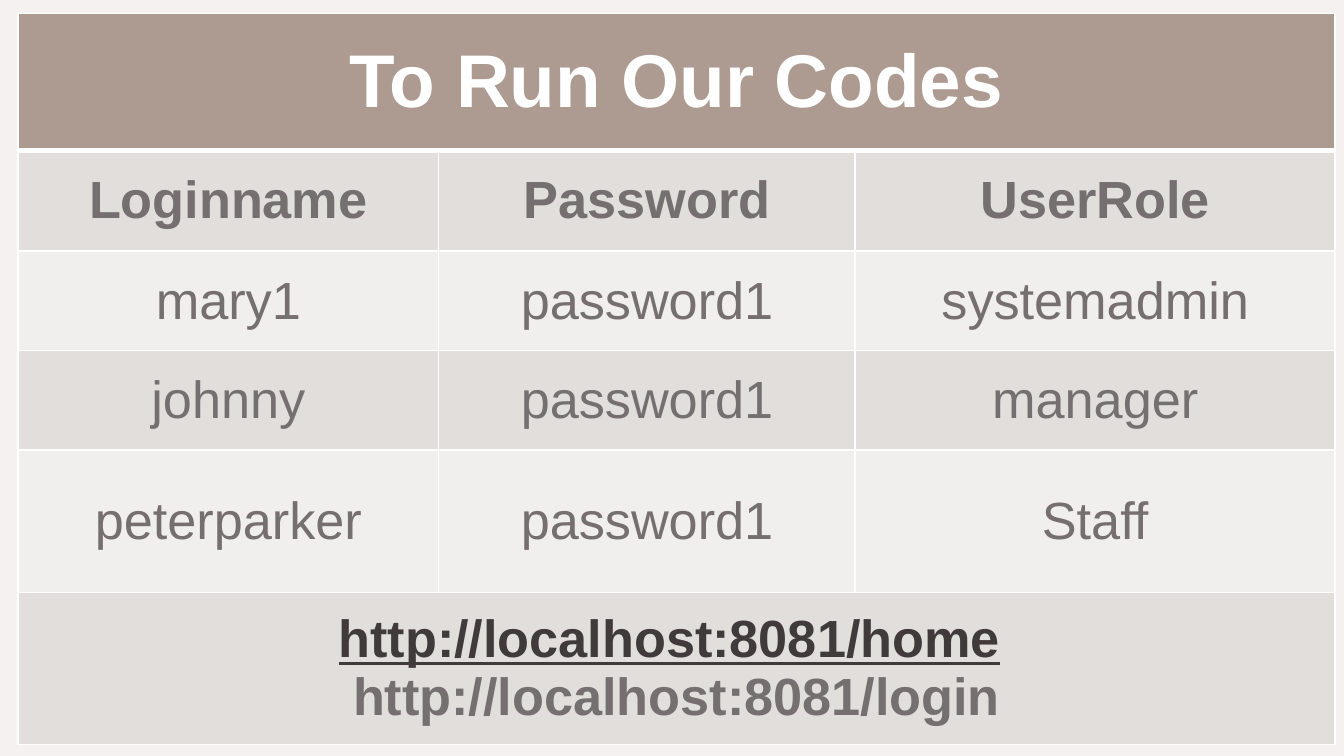
from lxml import etree
from pptx import Presentation
from pptx.dml.color import RGBColor
from pptx.enum.text import MSO_ANCHOR, PP_ALIGN
from pptx.oxml.ns import qn
from pptx.util import Pt

MIDDLE = MSO_ANCHOR.MIDDLE
CENTER = PP_ALIGN.CENTER

HEX = {
    "back": "F5F1F0",
    "head": "AD9B91",
    "dark": "E2DEDB",
    "light": "F1EFEE",
    "white": "FFFFFF",
    "text": "756F6F",
    "link": "413A3A",
}
FONT = "Arial"

# Text formats
TITLE = {"size": Pt(40), "bold": True, "color": "white"}
BOLD = {"size": Pt(28), "bold": True, "color": "text"}
PLAIN = {**BOLD, "bold": False}
LINK = {**BOLD, "color": "link", "underline": True}

# Table measures and content
COLS = [225.4, 223.2, 257]
ROWS = [73.4, 54, 53.3, 53.3, 76.3, 81.4]
LOGINS = [
    ["Loginname", "Password", "UserRole"],
    ["mary1", "password1", "systemadmin"],
    ["johnny", "password1", "manager"],
    ["peterparker", "password1", "Staff"],
]


class Deck:
    """Holds the style and the current slide."""

    def __init__(self, wide, high):
        self.prs = Presentation()
        self.prs.slide_width, self.prs.slide_height = Pt(wide), Pt(high)
        self.slide = self.prs.slides.add_slide(self.prs.slide_layouts[6])
        fill = self.slide.background.fill
        fill.solid()
        fill.fore_color.rgb = self.color("back")

    def color(self, name):
        return RGBColor.from_string(HEX[name])

    def table(self, left, top, cols, rows):
        frame = self.slide.shapes.add_table(
            len(rows), len(cols), Pt(left), Pt(top), Pt(sum(cols)), Pt(sum(rows)))
        table = frame.table
        for col, wide in zip(table.columns, cols):
            col.width = Pt(wide)
        for row, high in zip(table.rows, rows):
            row.height = Pt(high)
        return table

    def border(self, cell, widths):
        props = cell._tc.get_or_add_tcPr()
        for side, width in zip("LRTB", widths):
            line = etree.SubElement(props, qn(f"a:ln{side}"), w=str(Pt(width)))
            fill = etree.SubElement(line, qn("a:solidFill"))
            etree.SubElement(fill, qn("a:srgbClr"), val=HEX["white"])

    def paint(self, cell, fill, widths):
        self.border(cell, widths)
        cell.fill.solid()
        cell.fill.fore_color.rgb = self.color(fill)
        cell.vertical_anchor = MIDDLE

    def label(self, cell, lines):
        """Fill a cell with lines, each a list of (text, format) runs."""
        frame = cell.text_frame
        for i, runs in enumerate(lines):
            para = frame.add_paragraph() if i else frame.paragraphs[0]
            para.alignment = CENTER
            for text, style in runs:
                run = para.add_run()
                run.text = text
                run.font.name = FONT
                for key, value in style.items():
                    if key == "color":
                        run.font.color.rgb = self.color(value)
                    else:
                        setattr(run.font, key, value)


def main():
    deck = Deck(720, 405)
    table = deck.table(9.6, 7.2, COLS, ROWS)
    last = len(ROWS) - 1

    # Banded fills, with a thick rule below the title
    for r in range(len(ROWS)):
        fill = "head" if r == 0 else "dark" if r % 2 else "light"
        widths = (1, 1, 3 if r == 1 else 1, 3 if r == 0 else 1)
        for c in range(len(COLS)):
            deck.paint(table.cell(r, c), fill, widths)

    # Title and address rows span the table
    for r in (0, last):
        table.cell(r, 0).merge(table.cell(r, len(COLS) - 1))
    deck.label(table.cell(0, 0), [[("To Run Our Codes", TITLE)]])
    deck.label(table.cell(last, 0), [
        [("http://localhost:8081/home", LINK), (" ", BOLD)],
        [("http://localhost:8081/login", BOLD)],
    ])

    # Login rows
    for r, row in enumerate(LOGINS, 1):
        for c, text in enumerate(row):
            deck.label(table.cell(r, c), [[(text, BOLD if r == 1 else PLAIN)]])

    deck.prs.save("out.pptx")


if __name__ == "__main__":
    main()
